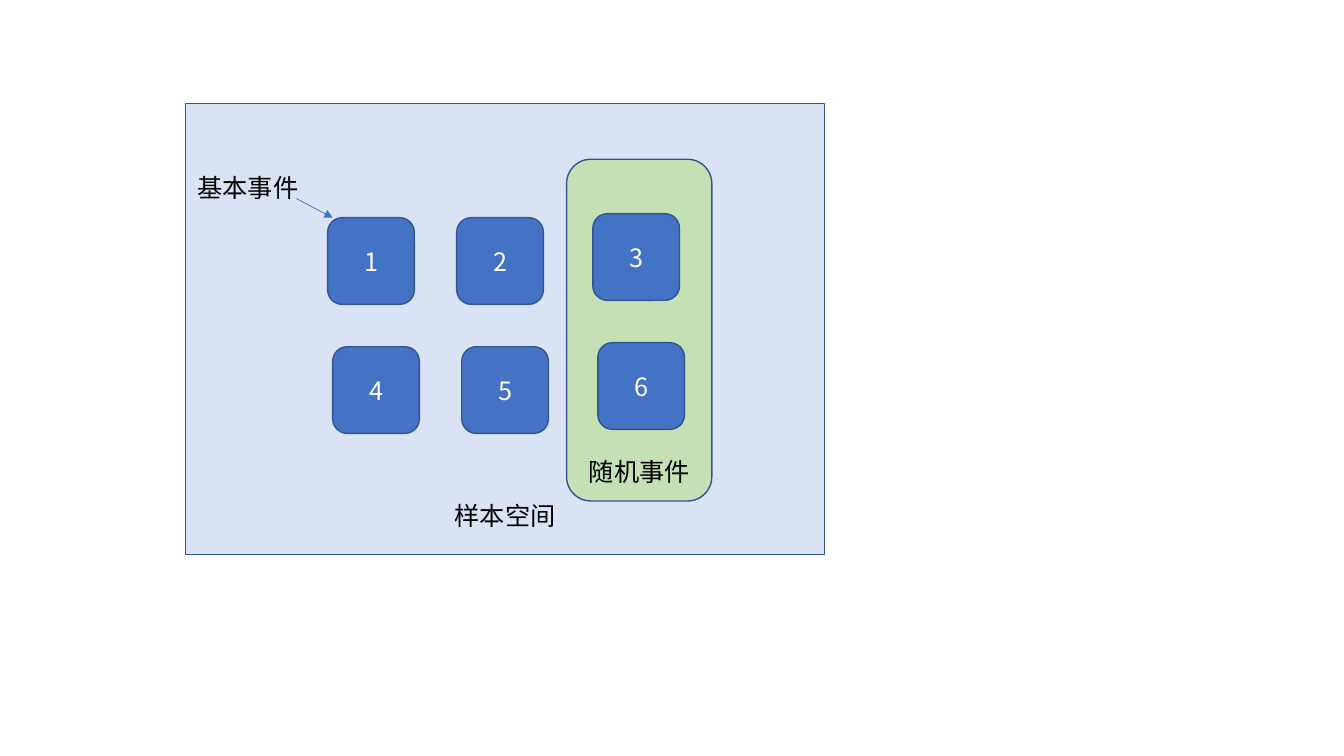
from typing import NamedTuple

from lxml.etree import SubElement
from pptx import Presentation
from pptx.dml.color import RGBColor
from pptx.enum.shapes import MSO_CONNECTOR as CONN, MSO_SHAPE as SHAPE
from pptx.enum.text import MSO_ANCHOR as ANCHOR, PP_ALIGN as ALIGN
from pptx.oxml.ns import qn
from pptx.util import Inches, Pt

FONT = "Noto Sans CJK SC"
BLUE, OUTLINE, PALE, GREEN = "4472C4", "325491", "DAE3F3", "C5E0B4"
BLACK, WHITE = "000000", "FFFFFF"
TILE = 0.86
COLUMNS, TOP, ROW_STEP, ROW_SHIFT = (3.25, 4.53, 5.88), 2.16, 1.28, 0.05
EVENT_COLUMN, EVENT_RAISE = 2, 0.04


class Box(NamedTuple):
    """A filled shape with one centred label."""

    text: str
    left: float
    top: float
    width: float
    height: float
    fill: str
    color: str
    kind: SHAPE = SHAPE.ROUNDED_RECTANGLE
    anchor: ANCHOR = ANCHOR.MIDDLE
    bottom: float = 0.05


def rgb(value: str) -> RGBColor:
    """Turn a hex string into a colour."""
    return RGBColor.from_string(value)


def write(tf, text: str, color: str, align: ALIGN) -> None:
    """Put one styled paragraph into a text frame."""
    p = tf.paragraphs[0]
    p.text, p.alignment = text, align
    p.font.size, p.font.name = Pt(18), FONT
    p.font.color.rgb = rgb(color)
    props = p._p.get_or_add_pPr().find(qn("a:defRPr"))
    SubElement(props, qn("a:ea")).set("typeface", FONT)


def draw_box(s, box: Box) -> None:
    """Draw a box and its label."""
    sp = s.shapes.add_shape(box.kind, Inches(box.left), Inches(box.top),
                            Inches(box.width), Inches(box.height))
    sp.shadow.inherit = False
    sp.fill.solid()
    sp.fill.fore_color.rgb = rgb(box.fill)
    sp.line.color.rgb = rgb(OUTLINE)
    sp.line.width = Pt(1)
    tf = sp.text_frame
    tf.word_wrap = True
    tf.vertical_anchor = box.anchor
    tf.margin_bottom = Inches(box.bottom)
    write(tf, box.text, box.color, ALIGN.CENTER)


def draw_tile(s, index: int) -> None:
    """Draw the numbered tile of one outcome."""
    row, col = divmod(index, len(COLUMNS))
    raise_by = EVENT_RAISE if col == EVENT_COLUMN else 0
    draw_box(s, Box(str(index + 1), COLUMNS[col] + row * ROW_SHIFT,
                    TOP + row * ROW_STEP - raise_by, TILE, TILE, BLUE, WHITE))


def draw_arrow(s, x1: float, y1: float, x2: float, y2: float) -> None:
    """Draw a thin arrow between two points."""
    sp = s.shapes.add_connector(CONN.STRAIGHT, Inches(x1), Inches(y1),
                                Inches(x2), Inches(y2))
    sp.line.color.rgb = rgb(BLUE)
    sp.line.width = Pt(0.5)
    SubElement(sp.line._get_or_add_ln(), qn("a:tailEnd")).set("type", "triangle")
    SubElement(sp._element.spPr, qn("a:effectLst"))


def draw_label(s, text: str, left: float, top: float, width: float, height: float) -> None:
    """Draw a plain text label."""
    sp = s.shapes.add_textbox(Inches(left), Inches(top), Inches(width), Inches(height))
    sp.text_frame.word_wrap = True
    write(sp.text_frame, text, BLACK, ALIGN.LEFT)


def main() -> None:
    """Build and save the slide."""
    prs = Presentation()
    prs.slide_width, prs.slide_height = Inches(13.33), Inches(7.5)
    s = prs.slides.add_slide(prs.slide_layouts[6])
    sample_space = Box("样本空间", 1.84, 1.03, 6.34, 4.47, PALE, BLACK,
                       SHAPE.RECTANGLE, ANCHOR.BOTTOM, 0.24)
    random_event = Box("随机事件", 5.62, 1.58, 1.44, 3.39, GREEN, BLACK,
                       anchor=ANCHOR.BOTTOM, bottom=0.07)
    for box in (sample_space, random_event):
        draw_box(s, box)
    for index in range(2 * len(COLUMNS)):
        draw_tile(s, index)
    draw_arrow(s, 2.94, 1.97, 3.3, 2.16)
    draw_label(s, "基本事件", 1.86, 1.66, 1.33, 0.4)
    prs.save("out.pptx")


main()
